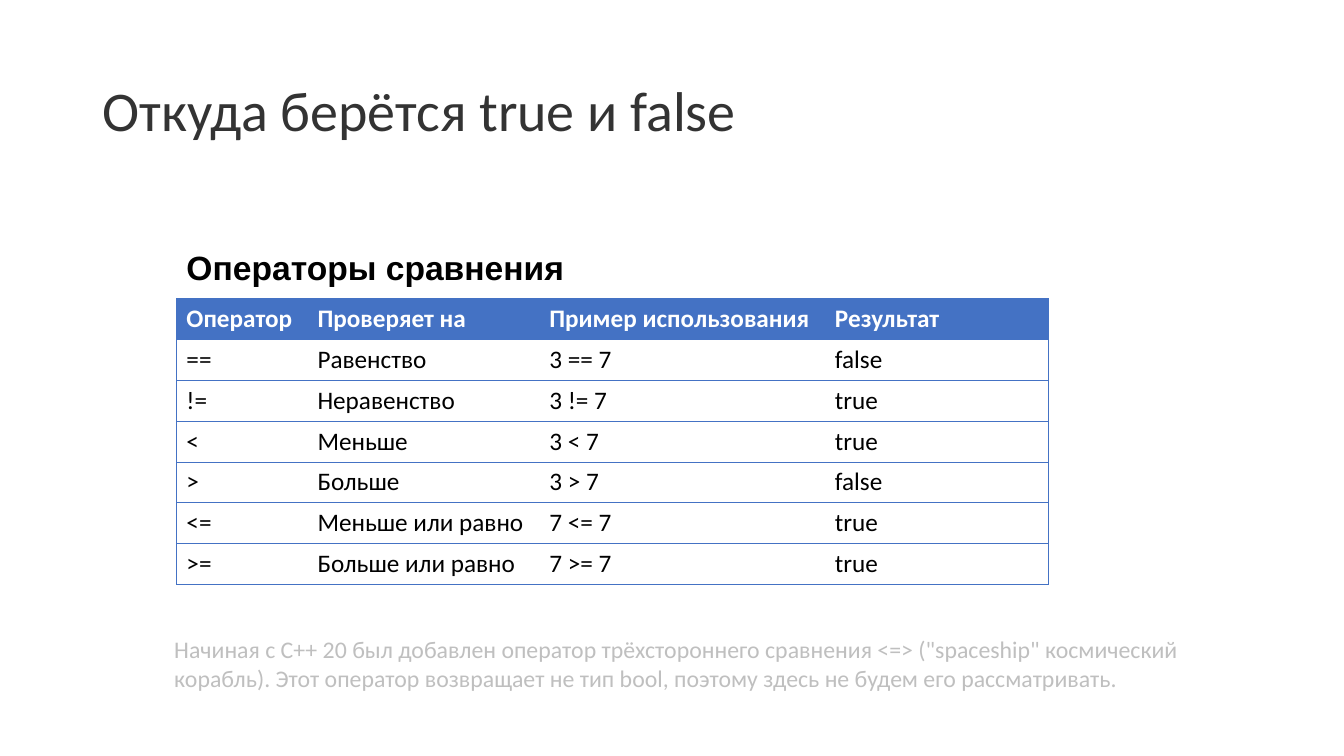
from dataclasses import dataclass

from lxml import etree
from pptx import Presentation
from pptx.dml.color import RGBColor
from pptx.enum.text import MSO_ANCHOR, MSO_AUTO_SIZE, PP_ALIGN
from pptx.oxml.ns import qn
from pptx.util import Inches, Length, Pt

MIDDLE, TOP = MSO_ANCHOR.MIDDLE, MSO_ANCHOR.TOP
LEFT = PP_ALIGN.LEFT
NO_FIT = MSO_AUTO_SIZE.NONE
TITLE_AND_CONTENT = 1

SLIDE_W, SLIDE_H = Inches(40 / 3), Inches(7.5)
GRID_COLS, GRID_ROWS = 40, 30


@dataclass(frozen=True)
class Theme:
    font: str = "Calibri"
    heading_font: str = "Arial"
    title: str = "333333"
    text: str = "000000"
    header_text: str = "FFFFFF"
    accent: str = "4472C4"
    muted: str = "BFBFBF"
    title_size: float = 40
    heading_size: float = 24
    table_size: float = 18
    note_size: float = 17
    border: float = 0.5


@dataclass(frozen=True)
class Area:
    """A rectangle in grid columns and rows."""
    col: float
    row: float
    cols: float
    rows: float

    def emu(self) -> tuple[Length, Length, Length, Length]:
        return across(self.col), down(self.row), across(self.cols), down(self.rows)


@dataclass(frozen=True)
class Comparison:
    operator: str
    checks: str
    example: str
    result: str

    def texts(self) -> tuple[str, str, str, str]:
        return self.operator, self.checks, self.example, self.result


THEME = Theme()
TITLE_AREA = Area(2.75, 1.6, 34.5, 5.8)
BODY_AREA = Area(5.25, 8, 32, 19.04)
NOTE_AREA = Area(4.89, 25, 32, 2.68)
TABLE_COL, TABLE_ROW = 5.25, 11.84
COLUMN_SPANS = (3.9, 6.9, 8.5, 6.66)
ROW_SPAN = 1.62
HEADING_INSET = 1.8

TITLE = "Откуда берётся true и false"
HEADING = "Операторы сравнения"
NOTE = ('Начиная с С++ 20 был добавлен оператор трёхстороннего сравнения <=> '
        '("spaceship" космический корабль). Этот оператор возвращает не тип bool, '
        'поэтому здесь не будем его рассматривать.')
COMPARISONS = (
    Comparison("Оператор", "Проверяет на", "Пример использования", "Результат"),
    Comparison("==", "Равенство", "3 == 7", "false"),
    Comparison("!=", "Неравенство", "3 != 7", "true"),
    Comparison("<", "Меньше", "3 < 7", "true"),
    Comparison(">", "Больше", "3 > 7", "false"),
    Comparison("<=", "Меньше или равно", "7 <= 7", "true"),
    Comparison(">=", "Больше или равно", "7 >= 7", "true"),
)


def across(cols: float) -> Length:
    return Length(round(SLIDE_W * cols / GRID_COLS))


def down(rows: float) -> Length:
    return Length(round(SLIDE_H * rows / GRID_ROWS))


def write(tf, text: str, *, size: float, color: str, font: str = THEME.font,
          bold: bool = False, spacing: float = 1.0):
    p = tf.paragraphs[0]
    p.alignment = LEFT
    p.line_spacing = spacing
    p.space_before = Pt(0)
    r = p.add_run()
    r.text = text
    r.font.name = font
    r.font.size = Pt(size)
    r.font.bold = bold
    r.font.color.rgb = RGBColor.from_string(color)
    return p


def place(sp, area: Area, anchor) -> None:
    sp.left, sp.top, sp.width, sp.height = area.emu()
    tf = sp.text_frame
    tf.word_wrap = True
    tf.auto_size = NO_FIT
    tf.vertical_anchor = anchor


def remove_bullet(p) -> None:
    pPr = p._p.get_or_add_pPr()
    pPr.set("marL", "0")
    pPr.set("indent", "0")
    etree.SubElement(pPr, qn("a:buNone"))


def set_borders(cell, shown: dict[str, bool]) -> None:
    """Draw the shown sides of a cell and clear the others."""
    tcPr = cell._tc.get_or_add_tcPr()
    for side, visible in shown.items():
        ln = etree.SubElement(tcPr, qn(f"a:ln{side}"), w=str(Pt(THEME.border)))
        if visible:
            fill = etree.SubElement(ln, qn("a:solidFill"))
            etree.SubElement(fill, qn("a:srgbClr"), val=THEME.accent)
        else:
            etree.SubElement(ln, qn("a:noFill"))


def add_comparison_table(slide) -> None:
    n_rows, n_cols = len(COMPARISONS), len(COLUMN_SPANS)
    area = Area(TABLE_COL, TABLE_ROW, sum(COLUMN_SPANS), ROW_SPAN * n_rows)
    table = slide.shapes.add_table(n_rows, n_cols, *area.emu()).table
    table.horz_banding = False
    for column, span in zip(table.columns, COLUMN_SPANS):
        column.width = across(span)
    for i, comparison in enumerate(COMPARISONS):
        table.rows[i].height = down(ROW_SPAN)
        header = i == 0
        for j, text in enumerate(comparison.texts()):
            cell = table.cell(i, j)
            cell.vertical_anchor = MIDDLE
            set_borders(cell, {"L": j == 0, "R": j == n_cols - 1, "T": True, "B": True})
            if header:
                cell.fill.solid()
                cell.fill.fore_color.rgb = RGBColor.from_string(THEME.accent)
            else:
                cell.fill.background()
            write(cell.text_frame, text, size=THEME.table_size, bold=header,
                  color=THEME.header_text if header else THEME.text)


def main() -> None:
    prs = Presentation()
    prs.slide_width, prs.slide_height = SLIDE_W, SLIDE_H
    slide = prs.slides.add_slide(prs.slide_layouts[TITLE_AND_CONTENT])

    title = slide.shapes.title
    place(title, TITLE_AREA, MIDDLE)
    write(title.text_frame, TITLE, size=THEME.title_size, color=THEME.title, spacing=0.9)

    body = slide.placeholders[1]
    place(body, BODY_AREA, TOP)
    body.text_frame.margin_top = down(HEADING_INSET)
    p = write(body.text_frame, HEADING, size=THEME.heading_size, color=THEME.text,
              font=THEME.heading_font, bold=True)
    remove_bullet(p)

    add_comparison_table(slide)

    note = slide.shapes.add_textbox(*NOTE_AREA.emu())
    place(note, NOTE_AREA, TOP)
    write(note.text_frame, NOTE, size=THEME.note_size, color=THEME.muted)

    prs.save("out.pptx")


if __name__ == "__main__":
    main()
